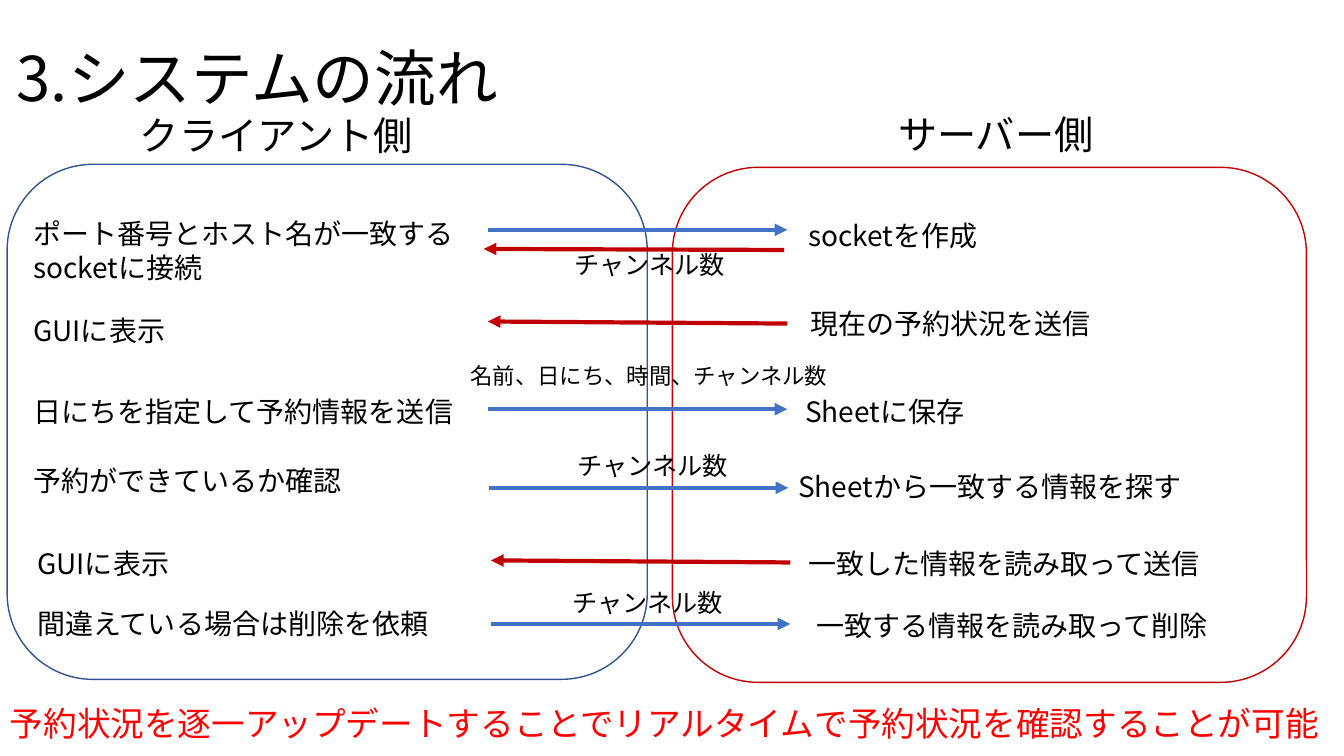
"""Build the system flow slide: client steps, server steps and the messages between them."""
import pptx
import pptx.util
import pptx.dml.color
import pptx.enum.shapes
import pptx.enum.text
import pptx.enum.lang
import lxml.etree
import pptx.oxml.ns

FONT = "Noto Sans CJK JP"
COLORS = {"text": "000000", "panel": "FFFFFF", "client": "325491",
          "server": "C00000", "request": "4472C4", "reply": "C00000", "note": "FF0000"}
qn = pptx.oxml.ns.qn

prs = pptx.Presentation()
prs.slide_width = pptx.util.Inches(13.33)
prs.slide_height = pptx.util.Inches(7.5)
s = prs.slides.add_slide(prs.slide_layouts[5])


def share(*values):
    """Turn alternating x and y percentages of the slide into lengths."""
    sides = (prs.slide_width, prs.slide_height)
    return [int(sides[i % 2] * v / 100) for i, v in enumerate(values)]


def write(text, at, sp=None, size=20, color="text", spacing=None, anchor="TOP"):
    """Write text into a placed shape, or into a new text box."""
    sp = sp or s.shapes.add_textbox(0, 0, 0, 0)
    sp.left, sp.top, sp.width, sp.height = share(*at)
    tf = sp.text_frame
    tf.word_wrap = True
    tf.auto_size = pptx.enum.text.MSO_AUTO_SIZE.NONE
    tf.vertical_anchor = pptx.enum.text.MSO_ANCHOR[anchor]
    tf.text = text
    for p in tf.paragraphs:
        p.alignment = pptx.enum.text.PP_ALIGN.LEFT
        p.line_spacing = spacing
        for r in p.runs:
            r.font.size = pptx.util.Pt(size)
            r.font.color.rgb = pptx.dml.color.RGBColor.from_string(COLORS[color])
            r.font.name = FONT
            r.font.language_id = pptx.enum.lang.MSO_LANGUAGE_ID.JAPANESE
            lxml.etree.SubElement(r._r.get_or_add_rPr(), qn("a:ea"), typeface=FONT)


write("3.システムの流れ", (0.5, 1.07, 86.25, 19.33), sp=s.shapes.title,
      size=44, spacing=0.9, anchor="MIDDLE")

sides = [
    ("client", "クライアント側", (9.68, 14.13, 34.88, 7.6), (0.53, 21.73, 47.63, 68.13)),
    ("server", "サーバー側", (66.08, 14, 27.08, 7.6), (50.03, 22.13, 47.18, 68.13)),
]
for color, heading, heading_at, panel_at in sides:
    write(heading, heading_at, size=28)
    panel = s.shapes.add_shape(pptx.enum.shapes.MSO_SHAPE.ROUNDED_RECTANGLE, *share(*panel_at))
    panel.shadow.inherit = False
    panel.fill.solid()
    panel.fill.fore_color.rgb = pptx.dml.color.RGBColor.from_string(COLORS["panel"])
    panel.line.color.rgb = pptx.dml.color.RGBColor.from_string(COLORS[color])
    panel.line.width = pptx.util.Pt(1)

steps = [
    ("ポート番号とホスト名が一致する\nsocketに接続", 1.73, 28, 47.18),
    ("GUIに表示", 1.73, 40.8, 20.4),
    ("日にちを指定して予約情報を送信", 1.73, 51.47, 39.6),
    ("予約ができているか確認", 1.73, 60.67, 32.55),
    ("GUIに表示", 2.03, 71.6, 20.4),
    ("間違えている場合は削除を依頼", 2.03, 79.6, 38.1),
    ("socketを作成", 59.4, 28.27, 21.75),
    ("現在の予約状況を送信", 59.55, 39.87, 28.2),
    ("Sheetに保存", 59.18, 51.47, 33.38),
    ("Sheetから一致する情報を探す", 58.65, 61.47, 33.38),
    ("一致した情報を読み取って送信", 59.4, 71.6, 30.68),
    ("一致する情報を読み取って削除", 60, 79.87, 30.68),
]
for text, x, y, w in steps:
    write(text, (x, y, w, 5.87 + 4.4 * text.count("\n")))

arrows = [
    ("request", 36.3, 30.4, 58.58, 30.4),
    ("reply", 58.35, 33.07, 36, 32.93),
    ("reply", 58.58, 42.8, 36.3, 42.53),
    ("request", 36.3, 54.13, 58.58, 54.13),
    ("request", 36.38, 64.53, 58.65, 64.53),
    ("reply", 58.8, 74.4, 36.53, 74.13),
    ("request", 36.53, 82.53, 58.8, 82.53),
]
for color, *ends in arrows:
    arrow = s.shapes.add_connector(pptx.enum.shapes.MSO_CONNECTOR.STRAIGHT, *share(*ends))
    arrow.line.color.rgb = pptx.dml.color.RGBColor.from_string(COLORS[color])
    arrow.line.width = pptx.util.Pt(3)
    lxml.etree.SubElement(arrow.line._get_or_add_ln(), qn("a:tailEnd"), type="triangle")
    lxml.etree.SubElement(arrow._element.spPr, qn("a:effectLst"))

write("名前、日にち、時間、チャンネル数", (34.28, 47.2, 29.18, 4.93), size=16)
for x, y in [(42, 32.27), (42.23, 58.93), (41.85, 77.07)]:
    write("チャンネル数", (x, y, 16.35, 5.33), size=18)

write("予約状況を逐一アップデートすることでリアルタイムで予約状況を確認することが可能",
      (0, 92.27, 100, 6.67), size=24, color="note")

prs.save("out.pptx")
